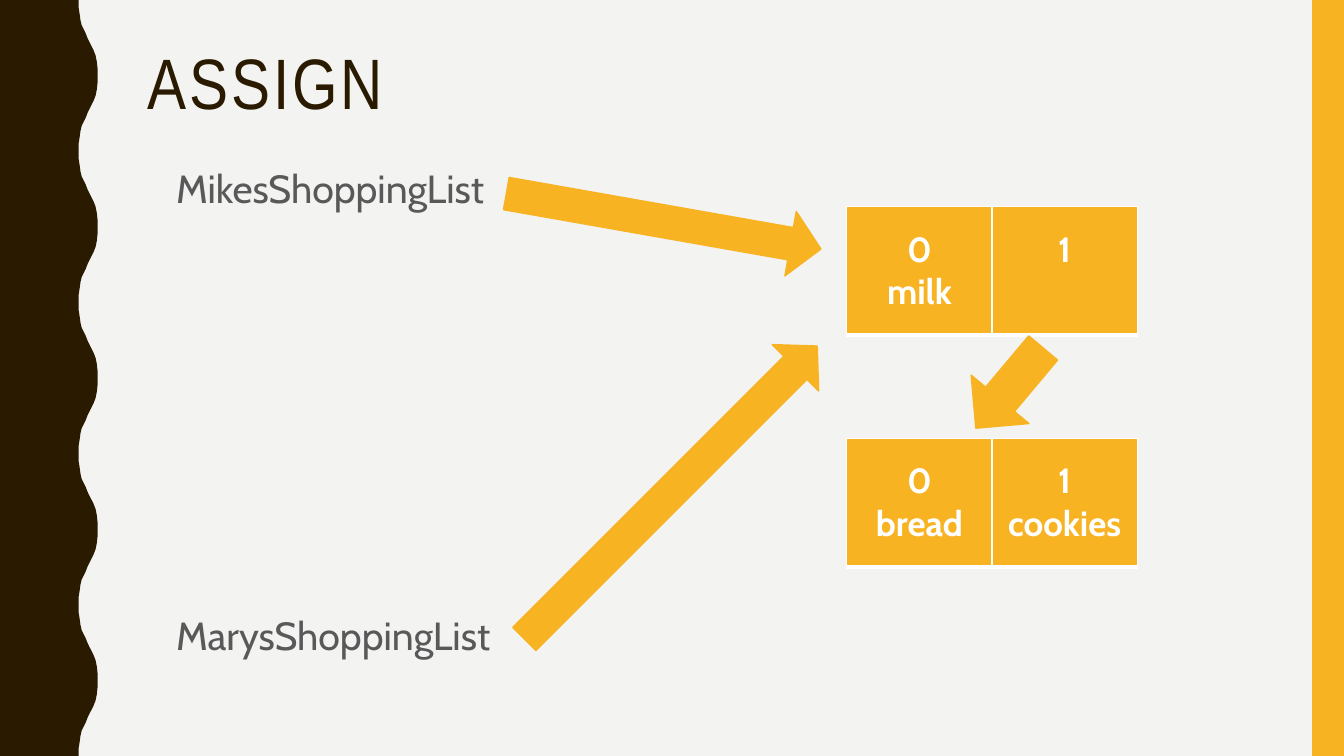
"""Build the slide that shows two list variables assigned to one linked list."""
from dataclasses import dataclass

from lxml.etree import SubElement
from pptx import Presentation
from pptx.dml.color import RGBColor
from pptx.enum.shapes import MSO_SHAPE
from pptx.enum.text import MSO_ANCHOR, PP_ALIGN
from pptx.oxml.ns import qn
from pptx.util import Cm, Pt

AMBER, BROWN, GREY, WHITE, PAPER = "F8B323", "2A1A00", "595959", "FFFFFF", "F3F3F2"
SLIDE_WIDTH, SLIDE_HEIGHT = 33.87, 19.05
WAVE_COUNT = 5
WAVE_LENGTH = SLIDE_HEIGHT / WAVE_COUNT
HALF_WAVE = [
    (1.98, 0), (1.98, 0.18), (2.01, 0.36), (2.03, 0.51), (2.06, 0.64),
    (2.11, 0.74), (2.16, 0.84), (2.21, 0.97), (2.26, 1.07), (2.31, 1.17),
    (2.36, 1.27), (2.41, 1.4), (2.44, 1.55), (2.46, 1.73), (2.46, 1.9),
]
CELL_WIDTH, CELL_HEIGHT = 3.66, 3.23
CELL_LINES, CELL_LINE_HEIGHT, CELL_MARGIN = 2, 1.07, 0.13
BORDERS = {"a:lnL": 1, "a:lnR": 1, "a:lnT": 1, "a:lnB": 3}


@dataclass
class Label:
    text: str
    left: float
    top: float
    width: float
    height: float
    font: str
    size: int
    color: str
    line_spacing: float
    space_before: int = 0
    tracking: int = 0


@dataclass
class Arrow:
    left: float
    top: float
    width: float
    height: float
    rotation: int
    head: float = 0.47


@dataclass
class ListNode:
    top: float
    cells: tuple[str, str]


NODES = [ListNode(5.21, ("0\nmilk", "1")), ListNode(11.05, ("0\nbread", "1\ncookies"))]
ARROWS = [
    Arrow(24.49, 8.46, 1.9, 2.64, 40, 0.5),
    Arrow(15.9, 1.55, 1.65, 8.05, 280),
    Arrow(16.08, 7.19, 1.65, 10.44, 225),
]
LABELS = [
    Label("ASSIGN", 3.48, 1.07, 28.27, 4.14, "Arial Narrow", 51, BROWN, 0.9, tracking=200),
    *(
        Label(name, 4.19, top, 8.99, 2.11, "Cabin", 28, GREY, 1.1, space_before=7)
        for name, top in (("MikesShoppingList", 3.89), ("MarysShoppingList", 15.16))
    ),
]


def paint(fill, color: str) -> None:
    """Make a fill solid in the given colour."""
    fill.solid()
    fill.fore_color.rgb = RGBColor.from_string(color)


def finish(shape, color: str, outlined: bool = False) -> None:
    """Give a shape a flat fill and an optional outline of the same colour."""
    shape.shadow.inherit = False
    paint(shape.fill, color)
    if outlined:
        paint(shape.line.fill, color)
        shape.line.width = Pt(1)
    else:
        shape.line.fill.background()


def format_span(span, font: str, size: int, color: str, bold: bool = False) -> None:
    """Set the typeface of one run."""
    span.font.name = font
    span.font.size = Pt(size)
    span.font.bold = bold
    paint(span.font.fill, color)


def draw_wave(page) -> None:
    """Draw the wavy band along the left edge."""
    wave = HALF_WAVE + [(x, WAVE_LENGTH - y) for x, y in HALF_WAVE[-2::-1]]
    edge = [(x, y + number * WAVE_LENGTH) for number in range(WAVE_COUNT) for x, y in wave]
    outline = [(Cm(x), Cm(y)) for x, y in edge + [(0, SLIDE_HEIGHT)]]
    builder = page.shapes.build_freeform(0, 0)
    builder.add_line_segments(outline, close=True)
    finish(builder.convert_to_shape(), BROWN)


def draw_bar(page) -> None:
    """Draw the plain bar along the right edge."""
    bar = page.shapes.add_shape(
        MSO_SHAPE.RECTANGLE, Cm(33.07), 0, Cm(0.8), Cm(SLIDE_HEIGHT)
    )
    finish(bar, AMBER)


def draw_arrow(page, arrow: Arrow) -> None:
    """Draw one rotated block arrow."""
    shape = page.shapes.add_shape(
        MSO_SHAPE.DOWN_ARROW, Cm(arrow.left), Cm(arrow.top), Cm(arrow.width), Cm(arrow.height)
    )
    shape.rotation = arrow.rotation
    shape.adjustments[1] = arrow.head
    finish(shape, AMBER, outlined=True)


def draw_label(page, label: Label) -> None:
    """Draw one line of free text."""
    box = page.shapes.add_textbox(
        Cm(label.left), Cm(label.top), Cm(label.width), Cm(label.height)
    )
    box.text_frame.word_wrap = True
    box.text_frame.text = label.text
    para = box.text_frame.paragraphs[0]
    para.line_spacing = label.line_spacing
    para.space_before = Pt(label.space_before)
    span = para.runs[0]
    format_span(span, label.font, label.size, label.color)
    span.font._element.set("spc", str(label.tracking))


def add_borders(cell) -> None:
    """Put white borders around a cell."""
    properties = cell._tc.get_or_add_tcPr()
    for tag, width in BORDERS.items():
        border = SubElement(properties, qn(tag), w=str(Pt(width)))
        fill = SubElement(border, qn("a:solidFill"))
        SubElement(fill, qn("a:srgbClr"), val=WHITE)


def fill_cell(cell, text: str) -> None:
    """Write an index and its value so that the indexes align across cells."""
    cell.text_frame.text = text
    paragraphs = cell.text_frame.paragraphs
    missing_lines = CELL_LINES - len(paragraphs)
    cell.vertical_anchor = MSO_ANCHOR.MIDDLE
    cell.margin_bottom = Cm(CELL_MARGIN + missing_lines * CELL_LINE_HEIGHT)
    add_borders(cell)
    paint(cell.fill, AMBER)
    for para in paragraphs:
        para.alignment = PP_ALIGN.CENTER
        format_span(para.runs[0], "Cabin", 25, WHITE, bold=True)


def draw_node(page, node: ListNode) -> None:
    """Draw one list node as a one-row table."""
    count = len(node.cells)
    table = page.shapes.add_table(
        1, count, Cm(21.34), Cm(node.top), Cm(CELL_WIDTH * count), Cm(CELL_HEIGHT)
    ).table
    table.first_row = False
    table.horz_banding = False
    for column, text in enumerate(node.cells):
        fill_cell(table.cell(0, column), text)


def main() -> None:
    """Build and save the deck."""
    deck = Presentation()
    deck.slide_width, deck.slide_height = Cm(SLIDE_WIDTH), Cm(SLIDE_HEIGHT)
    page = deck.slides.add_slide(deck.slide_layouts[6])
    paint(page.background.fill, PAPER)
    draw_wave(page)
    draw_bar(page)
    for node in NODES:
        draw_node(page, node)
    for arrow in ARROWS:
        draw_arrow(page, arrow)
    for label in LABELS:
        draw_label(page, label)
    deck.save("out.pptx")


main()
